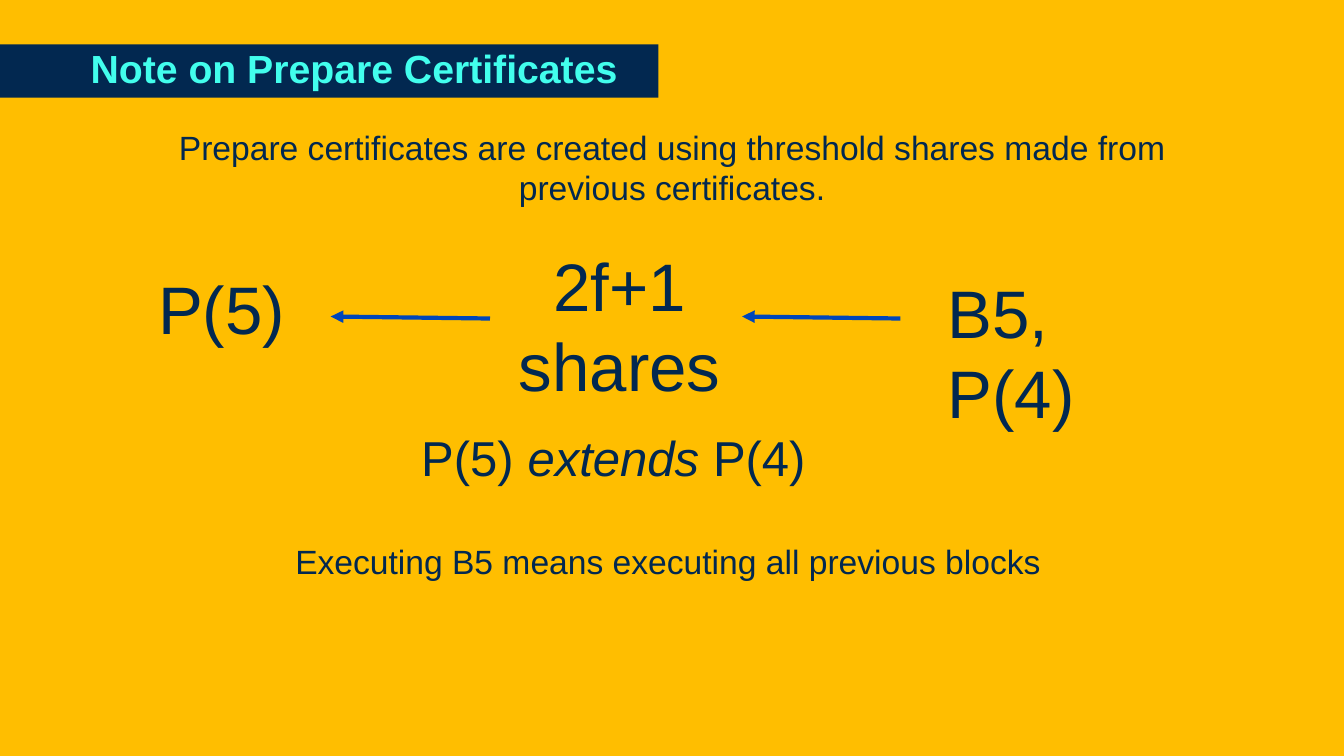
from lxml import etree
from pptx import Presentation
from pptx.dml.color import RGBColor
from pptx.enum.shapes import MSO_CONNECTOR, MSO_SHAPE
from pptx.enum.text import MSO_ANCHOR, PP_ALIGN
from pptx.oxml.ns import qn
from pptx.util import Inches, Pt

COLORS = {"background": "FFBE00", "navy": "022850", "aqua": "42FEED", "arrow": "0046B9"}
FONT = "Arial"
LEFT, CENTER = PP_ALIGN.LEFT, PP_ALIGN.CENTER

TITLE = "Note on Prepare Certificates"
TITLE_BOX = (0, 0.44, 6.53, 0.53)
TITLE_INSETS = (0.9, 0.05, 0.2, 0.05)
TEXT_INSETS = (0.1, 0.1, 0.1, 0.1)

# (left, top, width, height), size, alignment, runs of (text, italic)
TEXTS = [
    ((1.07, 1.16, 11.19, 1.04), 24, CENTER,
     [("Prepare certificates are created using threshold shares made from "
       "previous certificates.", False)]),
    ((1.47, 2.55, 1.81, 1.18), 48, LEFT, [("P(5)", False)]),
    ((4.72, 2.32, 2.85, 1.82), 48, CENTER, [("2f+1 shares", False)]),
    ((9.3, 2.59, 2.57, 1.13), 48, LEFT, [("B5, P(4)", False)]),
    ((4.08, 4.14, 4.43, 1.04), 35, LEFT,
     [("P(5) ", False), ("extends", True), (" P(4)", False)]),
    ((0.99, 5.27, 11.27, 1.13), 24, CENTER,
     [("Executing B5 means executing all previous blocks", False)]),
]

ARROW_SPANS = [(4.86, 3.28), (8.93, 7.36)]
ARROW_START_Y, ARROW_END_Y = 3.16, 3.14


def rgb(name):
    return RGBColor.from_string(COLORS[name])


def write_text(sp, runs, size, color, align, insets, anchor=MSO_ANCHOR.TOP, bold=False):
    tf = sp.text_frame
    left, top, right, bottom = map(Inches, insets)
    frame = {"word_wrap": True, "vertical_anchor": anchor, "margin_left": left,
             "margin_top": top, "margin_right": right, "margin_bottom": bottom}
    for name, value in frame.items():
        setattr(tf, name, value)
    p = tf.paragraphs[0]
    p.alignment = align
    for text, italic in runs:
        r = p.add_run()
        r.text = text
        style = {"name": FONT, "size": Pt(size), "bold": bold, "italic": italic}
        for name, value in style.items():
            setattr(r.font, name, value)
        r.font.color.rgb = rgb(color)
    return p


def add_title(slide):
    sp = slide.shapes.add_shape(MSO_SHAPE.RECTANGLE, *map(Inches, TITLE_BOX))
    sp.shadow.inherit = False
    sp.fill.solid()
    sp.fill.fore_color.rgb = rgb("navy")
    sp.line.fill.background()
    p = write_text(sp, [(TITLE, False)], 28, "aqua", LEFT, TITLE_INSETS,
                   MSO_ANCHOR.MIDDLE, bold=True)
    p.line_spacing = 0.9


def add_arrow(slide, start_x, end_x):
    ends = (start_x, ARROW_START_Y, end_x, ARROW_END_Y)
    line = slide.shapes.add_connector(MSO_CONNECTOR.STRAIGHT, *map(Inches, ends))
    line.line.color.rgb = rgb("arrow")
    line.line.width = Pt(3)
    ln = line.line._get_or_add_ln()
    etree.SubElement(ln, qn("a:tailEnd"), type="triangle")
    etree.SubElement(line._element.spPr, qn("a:effectLst"))


def main():
    prs = Presentation()
    prs.slide_width, prs.slide_height = Inches(13.33), Inches(7.5)
    slide = prs.slides.add_slide(prs.slide_layouts[6])
    slide.background.fill.solid()
    slide.background.fill.fore_color.rgb = rgb("background")

    add_title(slide)
    for box, size, align, runs in TEXTS:
        sp = slide.shapes.add_textbox(*map(Inches, box))
        write_text(sp, runs, size, "navy", align, TEXT_INSETS)
    for start_x, end_x in ARROW_SPANS:
        add_arrow(slide, start_x, end_x)
    prs.save("out.pptx")


if __name__ == "__main__":
    main()
